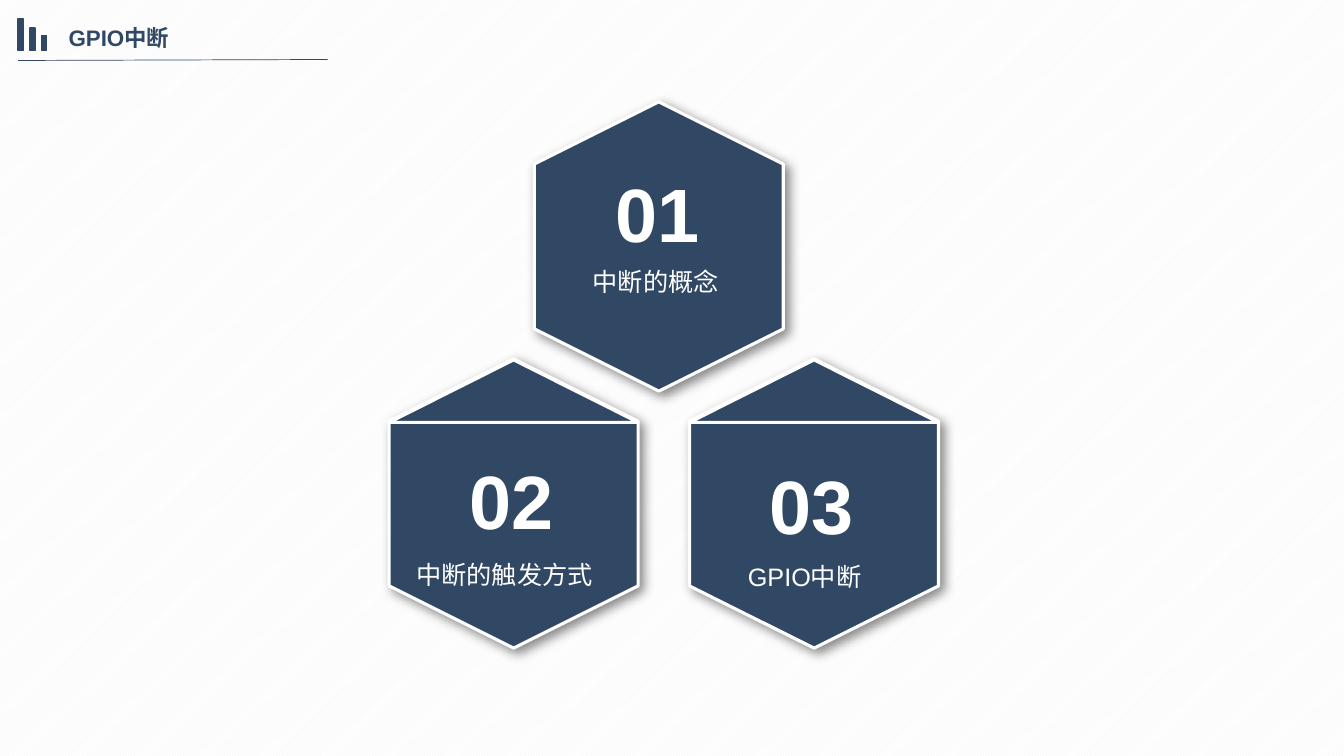
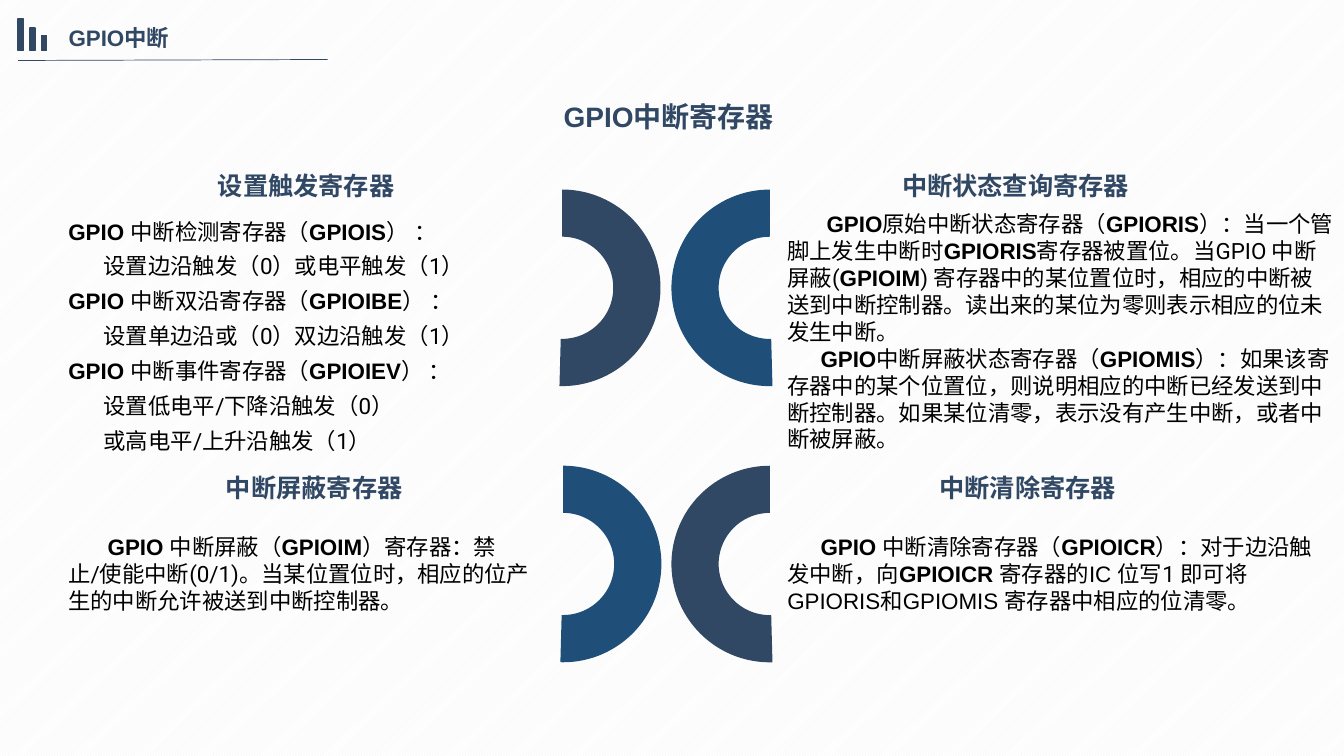
"""Build two slides on GPIO interrupts: an overview and the registers."""
from itertools import cycle

from lxml import etree
from pptx import Presentation
from pptx import util as u
from pptx.dml.color import RGBColor
from pptx.enum import dml, lang, shapes, text
from pptx.oxml.ns import qn

HUES = {"navy": "314865", "blue": "1F4E79", "white": "FFFFFF",
        "black": "000000", "grey": "F2F2F2"}
RGB = {name: RGBColor.from_string(code) for name, code in HUES.items()}
HEAD, BODY = "Arial", "Roboto"
LEFT, RIGHT = text.PP_ALIGN.LEFT, text.PP_ALIGN.RIGHT
KIND = shapes.MSO_SHAPE

deck = Presentation()
deck.slide_width, deck.slide_height = u.Inches(13.33), u.Inches(7.5)


def at(*shares):
    """Turn percentages of slide width and height, in turn, into lengths."""
    sides = cycle((deck.slide_width, deck.slide_height))
    return [u.Emu(int(share * side / 100)) for share, side in zip(shares, sides)]


def write(shape, words, size=16, hue="black", face=BODY, bold=False,
          align=LEFT, lead=None, indents=(0,), wrap=True):
    """Fill a shape with text; *x* is bold in the head face, ~x~ plain in it."""
    frame = shape.text_frame
    frame.auto_size = text.MSO_AUTO_SIZE.NONE
    frame.word_wrap = wrap
    frame.vertical_anchor = text.MSO_ANCHOR.TOP
    for row, (line, indent) in enumerate(zip(words.split("\n"), cycle(indents))):
        para = frame.add_paragraph() if row else frame.paragraphs[0]
        para.alignment = align
        if lead:
            para.line_spacing = lead
        if indent:
            para._p.get_or_add_pPr().set("indent", str(u.Inches(indent)))
        for i, chunk in enumerate(line.split("*")):
            for j, part in enumerate(chunk.split("~")):
                if not part:
                    continue
                run = para.add_run()
                run.text = part
                font = run.font
                font.size = u.Pt(size)
                font.bold = bold or i % 2 == 1
                font.color.rgb = RGB[hue]
                font.name = HEAD if i % 2 or j % 2 else face
                font.language_id = lang.MSO_LANGUAGE_ID.SIMPLIFIED_CHINESE
                etree.SubElement(run._r.rPr, qn("a:ea"), typeface=font.name)


back = deck.slide_master.background.fill
back.patterned()
back.pattern = dml.MSO_PATTERN.DARK_UPWARD_DIAGONAL
back.fore_color.rgb, back.back_color.rgb = RGB["grey"], RGB["white"]

for _ in range(2):
    slide = deck.slides.add_slide(deck.slide_layouts[5])
    title = slide.shapes.title
    title.left, title.top, title.width, title.height = at(4.35, 2.53, 20, 4.93)
    write(title, "GPIO中断", hue="navy", face=HEAD, bold=True)
    rule = slide.shapes.add_connector(
        shapes.MSO_CONNECTOR.STRAIGHT, *at(1.35, 8, 24.38, 7.87))
    rule.line.color.rgb, rule.line.width = RGB["navy"], u.Pt(0.5)
    etree.SubElement(rule._element.spPr, qn("a:effectLst"))
    for col, top in enumerate((2.53, 3.73, 4.67)):
        bar = slide.shapes.add_shape(
            KIND.RECTANGLE, *at(1.35 + col * 0.87, top, 0.38, 6.7 - top))
        bar.shadow.inherit = False
        bar.fill.solid()
        bar.fill.fore_color.rgb = bar.line.color.rgb = RGB["navy"]
        bar.line.width = u.Pt(1)

first, second = deck.slides

HEX_W, HEX_H = 21.53, 32.93
HALF, APEX, BASE = 9.26, 19, 10.73
for x, y, flap in ((38.22, 66.6, True), (60.57, 66.6, True), (49.02, 32.6, False)):
    tile = first.shapes.add_shape(
        KIND.HEXAGON, *at(x - HEX_W / 2, y - HEX_H / 2, HEX_W, HEX_H))
    tile.rotation = 270
    tile.shadow.inherit = False
    glow = etree.SubElement(
        tile._element.spPr.find(qn("a:effectLst")), qn("a:outerShdw"),
        blurRad=str(u.Pt(8)), dist=str(u.Pt(4)), dir="2700000", rotWithShape="0")
    shade = etree.SubElement(glow, qn("a:srgbClr"), val=HUES["black"])
    etree.SubElement(shade, qn("a:alpha"), val="45000")
    parts = [tile]
    if flap:
        pen = first.shapes.build_freeform(*at(x, y - APEX))
        pen.add_line_segments([at(x + HALF, y - BASE), at(x - HALF, y - BASE)])
        lid = pen.convert_to_shape()
        lid.shadow.inherit = False
        parts.append(lid)
    for part in parts:
        part.fill.solid()
        part.fill.fore_color.rgb = RGB["navy"]
        part.line.color.rgb, part.line.width = RGB["white"], u.Pt(2.25)
    if flap:
        tint = lid._element.spPr.find(qn("a:solidFill"))[0]
        etree.SubElement(tint, qn("a:alpha"), val="50000")

for num, x, y in (("01", 45.09, 21.47), ("02", 34.2, 59.33), ("03", 56.48, 60)):
    box = first.shapes.add_textbox(*at(x, y, 7.8, 13.47))
    write(box, num, size=54, hue="white", face=HEAD, bold=True, wrap=False)

for label, x, y, face, align in (
        ("中断的概念", 43.36, 33.73, BODY, LEFT),
        ("中断的触发方式", 25.8, 72.53, BODY, RIGHT),
        ("GPIO中断", 54.91, 72.8, HEAD, LEFT)):
    box = first.shapes.add_textbox(*at(x, y, 19.05, 5.73))
    write(box, label, size=18, hue="white", face=face, align=align, lead=1.2)

for x, y, hue, turn, ends in (
        (34.51, 25.07, "navy", 90, (108, 0.95)),
        (34.58, 61.6, "blue", 90, (108, 0.95)),
        (49.96, 25.07, "blue", 270, (107.05, 0)),
        (49.96, 61.6, "navy", 270, (107.05, 0))):
    arc = second.shapes.add_shape(KIND.BLOCK_ARC, *at(x, y, 14.63, 26))
    arc.rotation = turn
    for k, value in enumerate((*ends, 0.24)):
        arc.adjustments[k] = value
    arc.shadow.inherit = False
    arc.fill.solid()
    arc.fill.fore_color.rgb = RGB[hue]
    arc.line.fill.background()

for label, x, y, wide, size, align in (
        ("GPIO中断寄存器", 41.19, 12.53, 23.86, 20, LEFT),
        ("设置触发寄存器", 13.58, 21.87, 16.5, 18, RIGHT),
        ("中断状态查询寄存器", 66.39, 21.87, 19.28, 18, LEFT),
        ("中断屏蔽寄存器", 14.18, 61.87, 16.5, 18, RIGHT),
        ("中断清除寄存器", 69.17, 61.87, 16.5, 18, LEFT)):
    box = second.shapes.add_textbox(*at(x, y, wide, 5.33))
    write(box, label, size=size, hue="navy", face=HEAD, bold=True, align=align)

trigger = """*GPIO *中断检测寄存器（*GPIOIS*） ：
设置边沿触发（0）或电平触发（1）
*GPIO *中断双沿寄存器（*GPIOIBE*） ：
设置单边沿或（0）双边沿触发（1）
*GPIO *中断事件寄存器（*GPIOIEV*） ：
设置低电平/下降沿触发（0）
或高电平/上升沿触发（1）"""
status = (
    "*GPIO*原始中断状态寄存器（*GPIORIS*）：当一个管脚上发生中断时*GPIORIS*"
    "寄存器被置位。当GPIO 中断屏蔽(*GPIOIM*) 寄存器中的某位置位时，"
    "相应的中断被送到中断控制器。读出来的某位为零则表示相应的位未发生中断。\n"
    "*GPIO*中断屏蔽状态寄存器（*GPIOMIS*）：如果该寄存器中的某个位置位，"
    "则说明相应的中断已经发送到中断控制器。如果某位清零，表示没有产生中断，"
    "或者中断被屏蔽。")
mask = ("*GPIO *中断屏蔽（*GPIOIM*）寄存器：禁止/使能中断(0/1)。"
        "当某位置位时，相应的位产生的中断允许被送到中断控制器。")
clear = ("*GPIO *中断清除寄存器（*GPIOICR*）：对于边沿触发中断，向*GPIOICR *"
         "寄存器的~IC ~位写1 即可将~GPIORIS和GPIOMIS 寄存器~中相应的位清零。")

for words, x, y, wide, high, lead, indents in (
        (trigger, 4.35, 27.07, 35.56, 34, 1.3, (0, 0.35, 0, 0.35, 0, 0.35, 0.35)),
        (status, 57.84, 27.2, 42.16, 33.6, None, (0.39, 0.33)),
        (mask, 4.35, 69.87, 36.76, 12.13, None, (0.39,)),
        (clear, 57.84, 69.87, 40.66, 12.53, None, (0.33,))):
    box = second.shapes.add_textbox(*at(x, y, wide, high))
    write(box, words, lead=lead, indents=indents)

deck.save("out.pptx")
